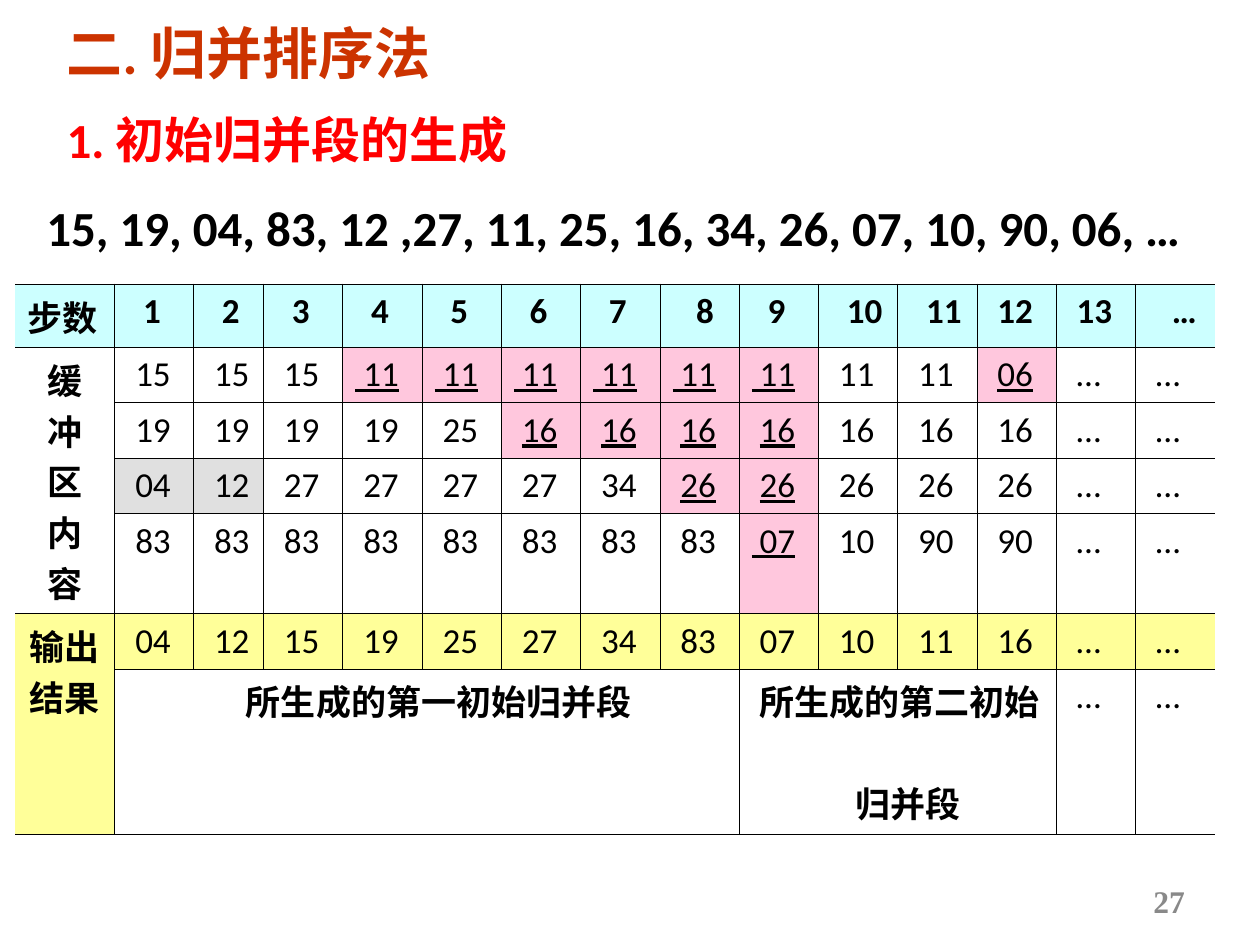
from lxml import etree
from pptx import Presentation
from pptx.dml.color import RGBColor
from pptx.enum.text import MSO_ANCHOR, PP_ALIGN
from pptx.oxml.ns import qn
from pptx.util import Pt

BLACK = RGBColor(0x00, 0x00, 0x00)
RED = RGBColor(0xFF, 0x00, 0x00)
RUST = RGBColor(0xCC, 0x33, 0x00)
GRAY = RGBColor(0x89, 0x89, 0x89)
CYAN = RGBColor(0xCC, 0xFF, 0xFF)
PINK = RGBColor(0xFF, 0xC7, 0xDD)
SILVER = RGBColor(0xE0, 0xE0, 0xE0)
YELLOW = RGBColor(0xFF, 0xFF, 0x99)
LEFT, CENTER, RIGHT, JUSTIFY = PP_ALIGN.LEFT, PP_ALIGN.CENTER, PP_ALIGN.RIGHT, PP_ALIGN.JUSTIFY
TOP, MIDDLE = MSO_ANCHOR.TOP, MSO_ANCHOR.MIDDLE

BODY_FONT = "Calibri"
INSET = 7.2
SPACE = 4.5
LINE_WIDTH = 0.45
COLUMN_WIDTHS = [57, 45, 40] + [45.3] * 12
ROW_HEIGHTS = [36.1, 31.7, 31.7, 31.7, 57.2, 31.6, 94.3]
HEADER_ROW, OUTPUT_ROW, SEGMENT_ROW = 0, 5, 6
VALUES = [
    "1 2 3 4 5 6 7 8 9 10 11 12 13 …",
    "15 15 15 11 11 11 11 11 11 11 11 06 … …",
    "19 19 19 19 25 16 16 16 16 16 16 16 … …",
    "04 12 27 27 27 27 34 26 26 26 26 26 … …",
    "83 83 83 83 83 83 83 83 07 10 90 90 … …",
    "04 12 15 19 25 27 34 83 07 10 11 16 … …",
]
HEADER_INDENTS = {8: 3, 12: 1, 13: 1, 14: 3}
WAITING = {1: [4, 5, 6, 7, 8, 9, 12], 2: [6, 7, 8, 9], 3: [8, 9], 4: [9]}
REPLACED = {3: [1, 2]}
LEADING_UNDERLINE = ("11", "07")


def style(paragraph, size, color, bold=True, name=BODY_FONT):
    font = paragraph.font
    font.size, font.bold, font.name = Pt(size), bold, name
    font.color.rgb = color


def add_text(slide, box, text, size, color, align=LEFT, anchor=TOP, name=BODY_FONT):
    shape = slide.shapes.add_textbox(*map(Pt, box))
    frame = shape.text_frame
    frame.word_wrap = True
    frame.vertical_anchor = anchor
    paragraph = frame.paragraphs[0]
    paragraph.text = text
    paragraph.alignment = align
    style(paragraph, size, color, name=name)
    return paragraph


def hang(paragraph, indent):
    properties = paragraph._p.get_or_add_pPr()
    properties.set("marL", str(Pt(indent)))
    properties.set("indent", str(-Pt(indent)))


def set_borders(cell, sides):
    """Draw the named sides (L, R, T, B) and clear the others."""
    properties = cell._tc.get_or_add_tcPr()
    for side in "LRTB":
        line = etree.SubElement(properties, qn(f"a:ln{side}"), w=str(Pt(LINE_WIDTH)))
        if side in sides:
            fill = etree.SubElement(line, qn("a:solidFill"))
            etree.SubElement(fill, qn("a:srgbClr"), val=str(BLACK))
        else:
            etree.SubElement(line, qn("a:noFill"))


def cell_color(row, column):
    if row == HEADER_ROW:
        return CYAN
    if row == OUTPUT_ROW or (row == SEGMENT_ROW and column == 0):
        return YELLOW
    if column in WAITING.get(row, []):
        return PINK
    if column in REPLACED.get(row, []):
        return SILVER
    return None


def fill_cell(cell, lines, indent=0, align=LEFT, bold=True):
    cell.margin_left = Pt(INSET + indent * SPACE)
    cell.text = "\n".join(lines)
    for paragraph in cell.text_frame.paragraphs:
        paragraph.alignment = align
        style(paragraph, 20, BLACK, bold)


def add_values(table):
    for row, values in enumerate(VALUES):
        for column, value in enumerate(values.split(), 1):
            cell = table.cell(row, column)
            header = row == HEADER_ROW
            waiting = column in WAITING.get(row, [])
            indent = HEADER_INDENTS.get(column, 2) if header else 1
            if waiting and value in LEADING_UNDERLINE:
                value, indent = " " + value, 0
            fill_cell(cell, [value], indent, bold=header)
            if waiting:
                cell.text_frame.paragraphs[0].font.underline = True
    for column in (13, 14):
        fill_cell(table.cell(SEGMENT_ROW, column), ["…"], 1, bold=False)


def add_merged_labels(table):
    for first, last in (((1, 0), (4, 0)), ((5, 0), (6, 0)), ((6, 1), (6, 8)), ((6, 9), (6, 12))):
        table.cell(*first).merge(table.cell(*last))
    fill_cell(table.cell(0, 0), ["步数"])
    fill_cell(table.cell(1, 0), ["缓 冲", "区", "内", "容"], align=CENTER)
    fill_cell(table.cell(5, 0), ["输出", "结果"], align=CENTER)
    fill_cell(table.cell(6, 1), ["所生成的第一初始归并段"], 3, CENTER)
    second_segment = table.cell(6, 9)
    fill_cell(second_segment, ["所生成的第二初始", "归并段"], 1)
    ending = second_segment.text_frame.paragraphs[1]
    ending.space_before = Pt(29)
    ending._p.get_or_add_pPr().set("marL", str(Pt(55)))


def add_merge_table(slide, left, top):
    rows, columns = len(ROW_HEIGHTS), len(COLUMN_WIDTHS)
    frame = slide.shapes.add_table(rows, columns, Pt(left), Pt(top),
                                   Pt(sum(COLUMN_WIDTHS)), Pt(sum(ROW_HEIGHTS)))
    table = frame.table
    table.first_row = table.horz_banding = False
    for column, width in zip(table.columns, COLUMN_WIDTHS):
        column.width = Pt(width)
    for row, height in zip(table.rows, ROW_HEIGHTS):
        row.height = Pt(height)
    for row in range(rows):
        for column in range(columns):
            cell = table.cell(row, column)
            sides = "TB" + ("L" if column else "") + ("R" if column < columns - 1 else "")
            set_borders(cell, sides)
            color = cell_color(row, column)
            if color is None:
                cell.fill.background()
            else:
                cell.fill.solid()
                cell.fill.fore_color.rgb = color
    add_values(table)
    add_merged_labels(table)


def add_headings(slide, left, top):
    add_text(slide, (left, top, 238.3, 59.8), "二. 归并排序法", 32, RUST, JUSTIFY, MIDDLE)
    subtitle = add_text(slide, (left, top + 54.7, 278, 45.4), "1. 初始归并段的生成", 28, RED)
    subtitle.line_spacing = Pt(38)
    hang(subtitle, 27)


def add_sequence(slide, box):
    numbers = "15, 19, 04, 83, 12 ,27, 11, 25, 16, 34, 26, 07, 10, 90, 06, …"
    sequence = add_text(slide, box, numbers, 28, BLACK)
    sequence.line_spacing = 1.1
    hang(sequence, 27)


def main():
    presentation = Presentation()
    presentation.slide_width, presentation.slide_height = Pt(720), Pt(540)
    slide = presentation.slides.add_slide(presentation.slide_layouts[6])
    add_headings(slide, 31, 0)
    add_text(slide, (516.2, 500.4, 168, 28.8), "27", 18, GRAY, RIGHT, MIDDLE, "Times New Roman")
    add_merge_table(slide, 8.64, 162.3)
    add_sequence(slide, (19.4, 105.8, 680.4, 73.4))
    presentation.save("out.pptx")


if __name__ == "__main__":
    main()
